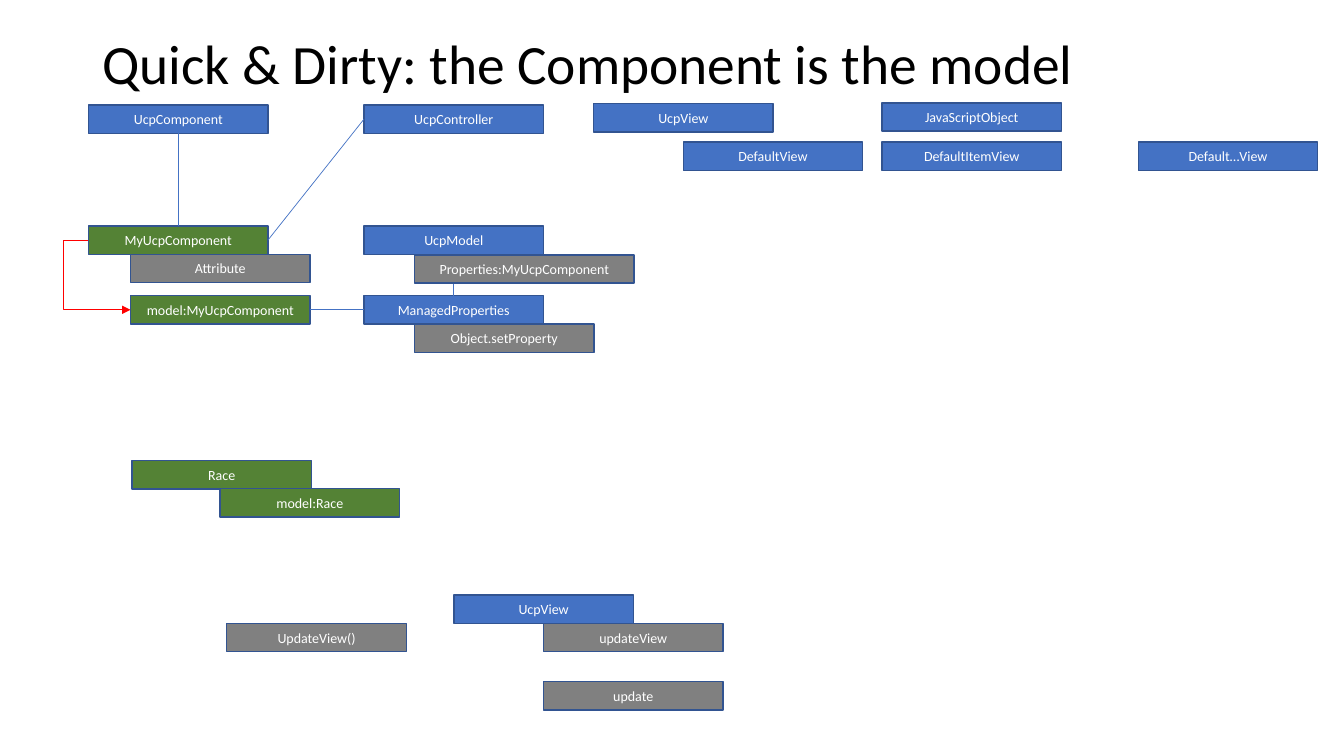
from lxml.etree import SubElement
from pptx import Presentation
from pptx.dml.color import RGBColor
from pptx.enum.shapes import MSO_CONNECTOR, MSO_SHAPE
from pptx.enum.text import MSO_ANCHOR, PP_ALIGN
from pptx.oxml.ns import qn
from pptx.util import Pt

BLUE, GREEN, GRAY = "4472C4", "548235", "808080"
OUTLINE, RED, WHITE, BLACK = "325491", "FF0000", "FFFFFF", "000000"
FONT = "Calibri"
BOX_WIDTH, BOX_HEIGHT = 128.2, 20.2
TOP, LEFT, BOTTOM, RIGHT = range(4)  # connection sites of a rectangle


def color(hex_string):
    return RGBColor.from_string(hex_string)


def add_box(slide, label, left, top, fill=BLUE, width=BOX_WIDTH):
    box = slide.shapes.add_shape(
        MSO_SHAPE.RECTANGLE, Pt(left), Pt(top), Pt(width), Pt(BOX_HEIGHT))
    box.shadow.inherit = False
    box.fill.solid()
    box.fill.fore_color.rgb = color(fill)
    box.line.color.rgb = color(OUTLINE)
    box.line.width = Pt(1)
    frame = box.text_frame
    frame.word_wrap = True
    frame.vertical_anchor = MSO_ANCHOR.MIDDLE
    paragraph = frame.paragraphs[0]
    paragraph.text = label
    paragraph.alignment = PP_ALIGN.CENTER
    paragraph.font.name = FONT
    paragraph.font.size = Pt(10)
    paragraph.font.color.rgb = color(WHITE)
    return box


def add_link(slide, start, start_site, end, end_site,
             kind=MSO_CONNECTOR.STRAIGHT, stroke=BLUE):
    link = slide.shapes.add_connector(kind, 0, 0, 0, 0)
    link.begin_connect(start, start_site)
    link.end_connect(end, end_site)
    link.line.color.rgb = color(stroke)
    link.line.width = Pt(0.5)
    SubElement(link._element.spPr, qn("a:effectLst"))
    return link


def add_loop_arrow(slide, start, end):
    """Arrow that leaves and enters on the left side."""
    arrow = add_link(slide, start, LEFT, end, LEFT, MSO_CONNECTOR.ELBOW, RED)
    SubElement(arrow.line._get_or_add_ln(), qn("a:tailEnd"), type="triangle")
    geometry = arrow._element.spPr.find(qn("a:prstGeom"))
    guides = geometry.find(qn("a:avLst"))
    if guides is None:
        guides = SubElement(geometry, qn("a:avLst"))
    SubElement(guides, qn("a:gd"), name="adj1", fmla="val -60600")


def add_title(slide, left, top, width, height):
    frame = slide.shapes.add_textbox(
        Pt(left), Pt(top), Pt(width), Pt(height)).text_frame
    frame.word_wrap = True
    frame.vertical_anchor = MSO_ANCHOR.MIDDLE
    paragraph = frame.paragraphs[0]
    paragraph.text = "Quick & Dirty: the Component is the model"
    paragraph.line_spacing = 0.9
    paragraph.font.name = FONT
    paragraph.font.size = Pt(39.6)
    paragraph.font.color.rgb = color(BLACK)


def add_views(slide, left, top):
    add_box(slide, "UcpView", left, top + 0.5)
    add_box(slide, "JavaScriptObject", left + 206, top)
    for label, offset in [("DefaultView", 64), ("DefaultItemView", 206),
                          ("Default…View", 389)]:
        add_box(slide, label, left + offset, top + 28)


def add_component(slide, left, top):
    base = add_box(slide, "UcpComponent", left, top)
    component = add_box(slide, "MyUcpComponent", left, top + 86.4, GREEN)
    add_box(slide, "Attribute", left + 30, top + 106.6, GRAY)
    model = add_box(slide, "model:MyUcpComponent", left + 30, top + 136.2, GREEN)
    add_link(slide, base, BOTTOM, component, TOP)
    add_loop_arrow(slide, component, model)
    return component, model


def add_model(slide, left, top):
    controller = add_box(slide, "UcpController", left, top)
    model = add_box(slide, "UcpModel", left, top + 86.4)
    managed = add_box(slide, "ManagedProperties", left, top + 136.2)
    add_link(slide, managed, TOP, model, BOTTOM)
    add_box(slide, "Object.setProperty", left + 36, top + 156.4, GRAY)
    add_box(slide, "Properties:MyUcpComponent", left + 36, top + 107, GRAY, 157)
    return controller, managed


def add_race(slide, left, top):
    add_box(slide, "Race", left, top, GREEN)
    add_box(slide, "model:Race", left + 63, top + 20, GREEN)


def add_update(slide, left, top):
    add_box(slide, "UpdateView()", left, top + 20.2, GRAY)
    add_box(slide, "updateView", left + 226.2, top + 20.2, GRAY)
    add_box(slide, "UcpView", left + 162.2, top)
    add_box(slide, "update", left + 226.2, top + 62, GRAY)


def main():
    presentation = Presentation()
    presentation.slide_width, presentation.slide_height = Pt(960), Pt(540)
    slide = presentation.slides.add_slide(presentation.slide_layouts[6])

    add_views(slide, 424, 73.5)
    component, component_model = add_component(slide, 63.2, 75)
    controller, managed = add_model(slide, 260, 75)

    # Links between the component and the model side
    add_link(slide, component, RIGHT, controller, LEFT)
    add_link(slide, managed, LEFT, component_model, RIGHT)

    add_race(slide, 94.2, 329)
    add_update(slide, 162, 425)
    add_title(slide, 66, 28.8, 828, 38)
    presentation.save("out.pptx")


if __name__ == "__main__":
    main()
